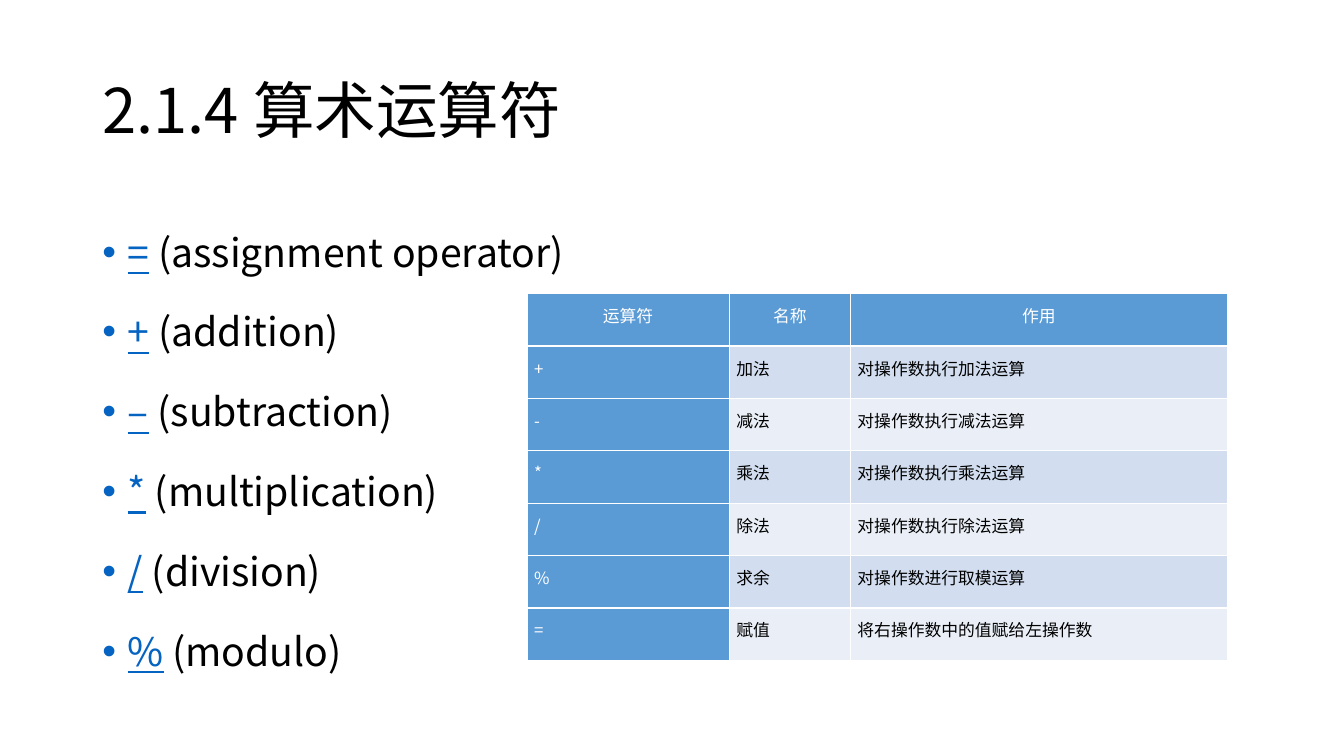
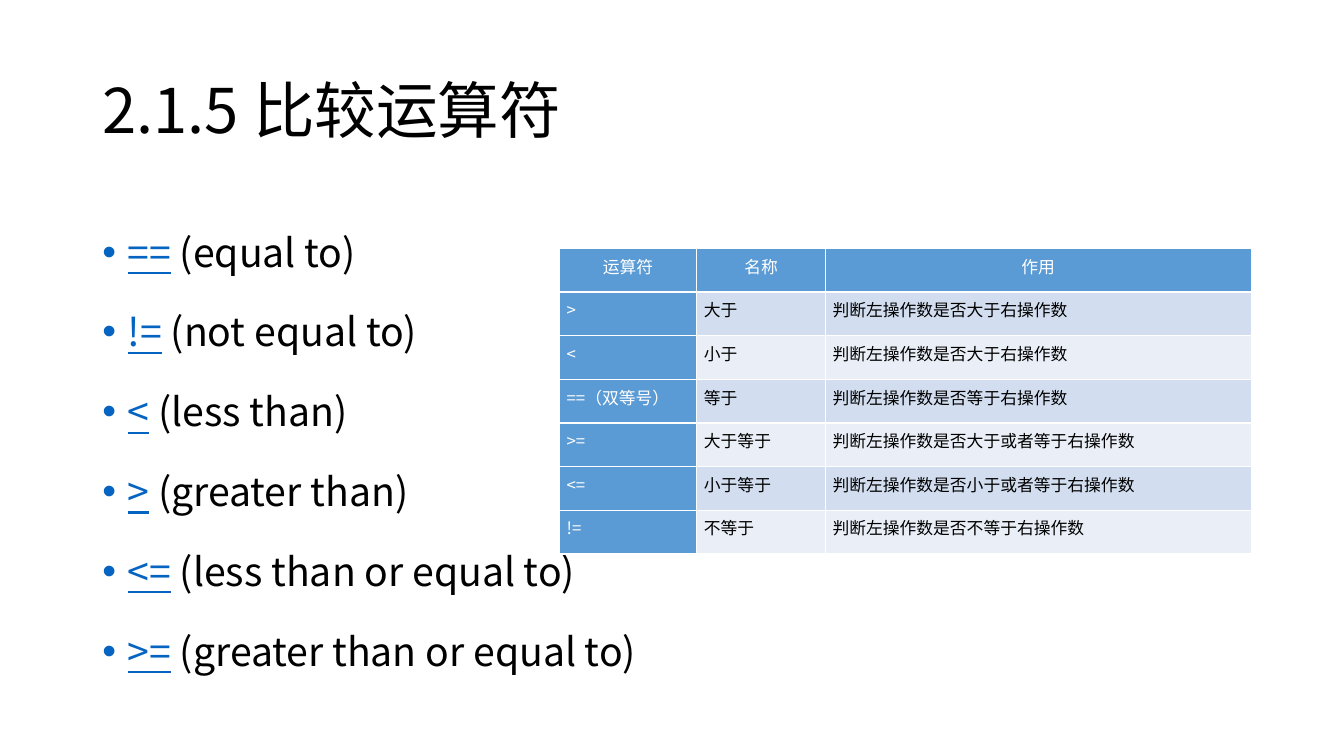
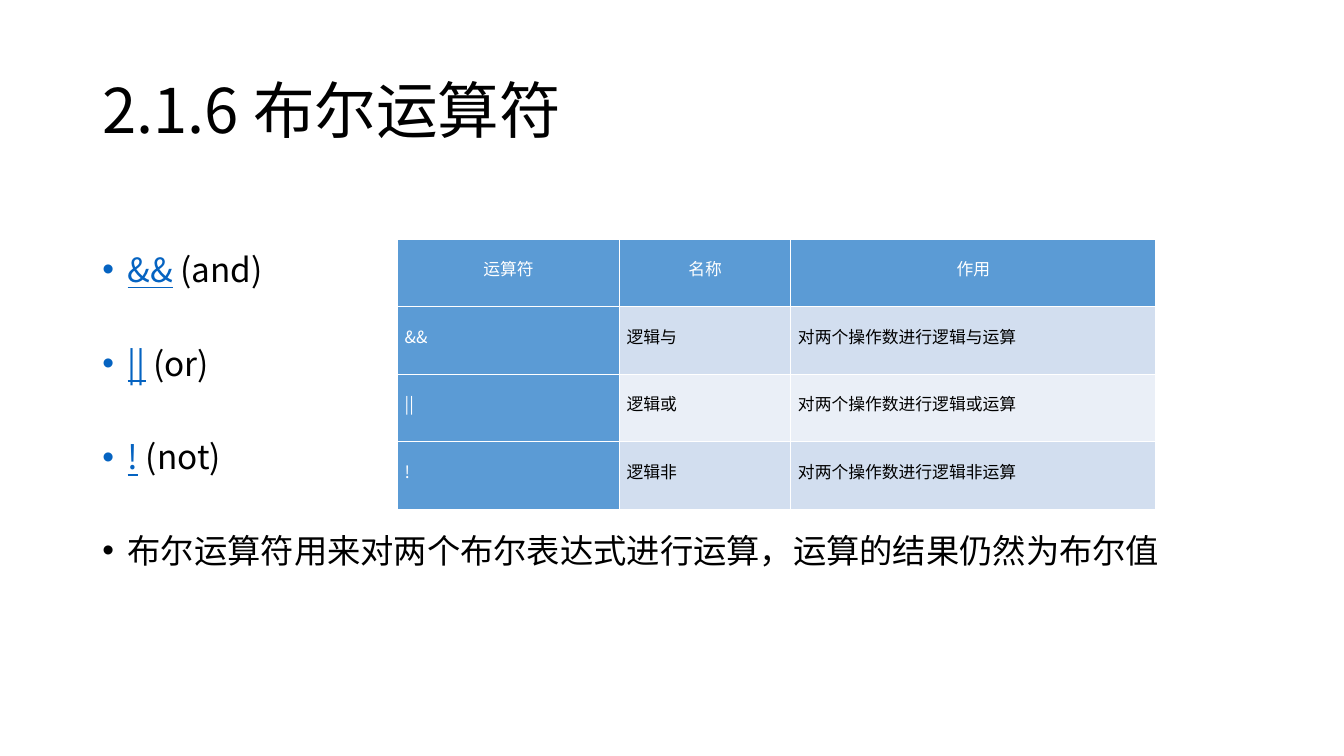
"""Build three slides on arithmetic, comparison and Boolean operators."""
import lxml.etree
import pptx
import pptx.dml.color
import pptx.enum.text
import pptx.oxml.ns
import pptx.util

Cm = pptx.util.Cm
Pt = pptx.util.Pt
RGBColor = pptx.dml.color.RGBColor
PP_ALIGN = pptx.enum.text.PP_ALIGN
MSO_ANCHOR = pptx.enum.text.MSO_ANCHOR
qn = pptx.oxml.ns.qn

BLACK = RGBColor(0x00, 0x00, 0x00)
WHITE = RGBColor(0xFF, 0xFF, 0xFF)
OPERATOR_BLUE = RGBColor(0x05, 0x63, 0xC1)
HEADER_BLUE = RGBColor(0x5B, 0x9B, 0xD5)
ROW_TINTS = [RGBColor(0xD2, 0xDE, 0xEF), RGBColor(0xEA, 0xEF, 0xF7)]
SANS = "Noto Sans CJK SC"
SERIF = "Times New Roman"
HEADINGS = ("运算符", "名称", "作用")
CELL_MARGINS = {"margin_left": Cm(0.18), "margin_right": Cm(0.18),
                "margin_top": 0, "margin_bottom": 0,
                "vertical_anchor": MSO_ANCHOR.MIDDLE}

topics = [
    {
        "title": "2.1.4 算术运算符",
        "size": 28, "pitch": 57,
        "operators": [("=", "assignment operator"), ("+", "addition"),
                      ("–", "subtraction"), ("*", "multiplication"),
                      ("/", "division"), ("%", "modulo")],
        "remark": None,
        "left": 13.28, "top": 7.4,
        "columns": (5.1, 3.05, 9.5), "row_height": 1.32,
        "rows": [("+", "加法", "对操作数执行加法运算"),
                 ("-", "减法", "对操作数执行减法运算"),
                 ("*", "乘法", "对操作数执行乘法运算"),
                 ("/", "除法", "对操作数执行除法运算"),
                 ("%", "求余", "对操作数进行取模运算"),
                 ("=", "赋值", "将右操作数中的值赋给左操作数")],
    },
    {
        "title": "2.1.5 比较运算符",
        "size": 28, "pitch": 57,
        "operators": [("==", "equal to"), ("!=", "not equal to"),
                      ("<", "less than"), (">", "greater than"),
                      ("<=", "less than or equal to"),
                      (">=", "greater than or equal to")],
        "remark": None,
        "left": 14.1, "top": 6.26,
        "columns": (3.46, 3.24, 10.73), "row_height": 1.1,
        "rows": [(">", "大于", "判断左操作数是否大于右操作数"),
                 ("<", "小于", "判断左操作数是否大于右操作数"),
                 ("==（双等号）", "等于", "判断左操作数是否等于右操作数"),
                 (">=", "大于等于", "判断左操作数是否大于或者等于右操作数"),
                 ("<=", "小于等于", "判断左操作数是否小于或者等于右操作数"),
                 ("!=", "不等于", "判断左操作数是否不等于右操作数")],
    },
    {
        "title": "2.1.6 布尔运算符",
        "size": 23.8, "pitch": 67,
        "operators": [("&&", "and"), ("||", "or"), ("!", "not")],
        "remark": "布尔运算符用来对两个布尔表达式进行运算，运算的结果仍然为布尔值",
        "left": 10.02, "top": 6.03,
        "columns": (5.59, 4.32, 9.2), "row_height": 1.7,
        "rows": [("&&", "逻辑与", "对两个操作数进行逻辑与运算"),
                 ("||", "逻辑或", "对两个操作数进行逻辑或运算"),
                 ("!", "逻辑非", "对两个操作数进行逻辑非运算")],
    },
]


def add_run(paragraph, text, size, color, latin=SANS, underline=False):
    run = paragraph.add_run()
    run.text = text
    for name, value in {"size": Pt(size), "name": latin, "underline": underline}.items():
        setattr(run.font, name, value)
    run.font.color.rgb = color
    lxml.etree.SubElement(run.font._element, qn("a:ea"), typeface=SANS)


def add_bullet(paragraph, color, pitch):
    paragraph.line_spacing = Pt(pitch)
    properties = paragraph._p.get_or_add_pPr()
    properties.set("marL", str(Cm(0.64)))
    properties.set("indent", str(Cm(-0.64)))
    tint = lxml.etree.SubElement(properties, qn("a:buClr"))
    lxml.etree.SubElement(tint, qn("a:srgbClr"), val=str(color))
    lxml.etree.SubElement(properties, qn("a:buFont"), typeface="Arial")
    lxml.etree.SubElement(properties, qn("a:buChar"), char="•")


deck = pptx.Presentation()
deck.slide_width = Cm(33.87)
deck.slide_height = Cm(19.05)

for topic in topics:
    slide = deck.slides.add_slide(deck.slide_layouts[6])

    heading = slide.shapes.add_textbox(Cm(2.33), Cm(1.01), Cm(29.21), Cm(3.68)).text_frame
    heading.word_wrap = True
    heading.vertical_anchor = MSO_ANCHOR.MIDDLE
    heading.paragraphs[0].line_spacing = 0.9
    add_run(heading.paragraphs[0], topic["title"], 44, BLACK)

    summary = slide.shapes.add_textbox(Cm(2.33), Cm(4.92), Cm(29.21), Cm(12.25)).text_frame
    summary.word_wrap = True
    summary.margin_top = 0
    line = summary.paragraphs[0]
    for position, (operator, meaning) in enumerate(topic["operators"]):
        if position:
            line = summary.add_paragraph()
        add_bullet(line, OPERATOR_BLUE, topic["pitch"])
        add_run(line, operator, topic["size"], OPERATOR_BLUE, underline=True)
        add_run(line, f" ({meaning})", topic["size"], BLACK)
    if topic["remark"]:
        line = summary.add_paragraph()
        add_bullet(line, BLACK, topic["pitch"])
        add_run(line, topic["remark"], topic["size"], BLACK, latin=SERIF)

    entries = [HEADINGS] + topic["rows"]
    reference = slide.shapes.add_table(
        len(entries), len(HEADINGS), Cm(topic["left"]), Cm(topic["top"]),
        Cm(sum(topic["columns"])), Cm(topic["row_height"] * len(entries))).table
    reference.first_row = False
    reference.horz_banding = False
    for column, width in zip(reference.columns, topic["columns"]):
        column.width = Cm(width)
    for row_index, entry in enumerate(entries):
        reference.rows[row_index].height = Cm(topic["row_height"])
        for column_index, text in enumerate(entry):
            cell = reference.cell(row_index, column_index)
            for name, value in CELL_MARGINS.items():
                setattr(cell, name, value)
            for side in ("a:lnL", "a:lnR", "a:lnT", "a:lnB"):
                border = lxml.etree.SubElement(
                    cell._tc.get_or_add_tcPr(), qn(side), w=str(Pt(1)))
                paint = lxml.etree.SubElement(border, qn("a:solidFill"))
                lxml.etree.SubElement(paint, qn("a:srgbClr"), val=str(WHITE))
            is_header = row_index == 0
            is_blue = is_header or column_index == 0
            cell.fill.solid()
            cell.fill.fore_color.rgb = HEADER_BLUE if is_blue else ROW_TINTS[(row_index - 1) % 2]
            label = cell.text_frame.paragraphs[0]
            label.alignment = PP_ALIGN.CENTER if is_header else PP_ALIGN.LEFT
            label.line_spacing = Pt(11)
            add_run(label, text, 12, WHITE if is_blue else BLACK)

deck.save("out.pptx")
